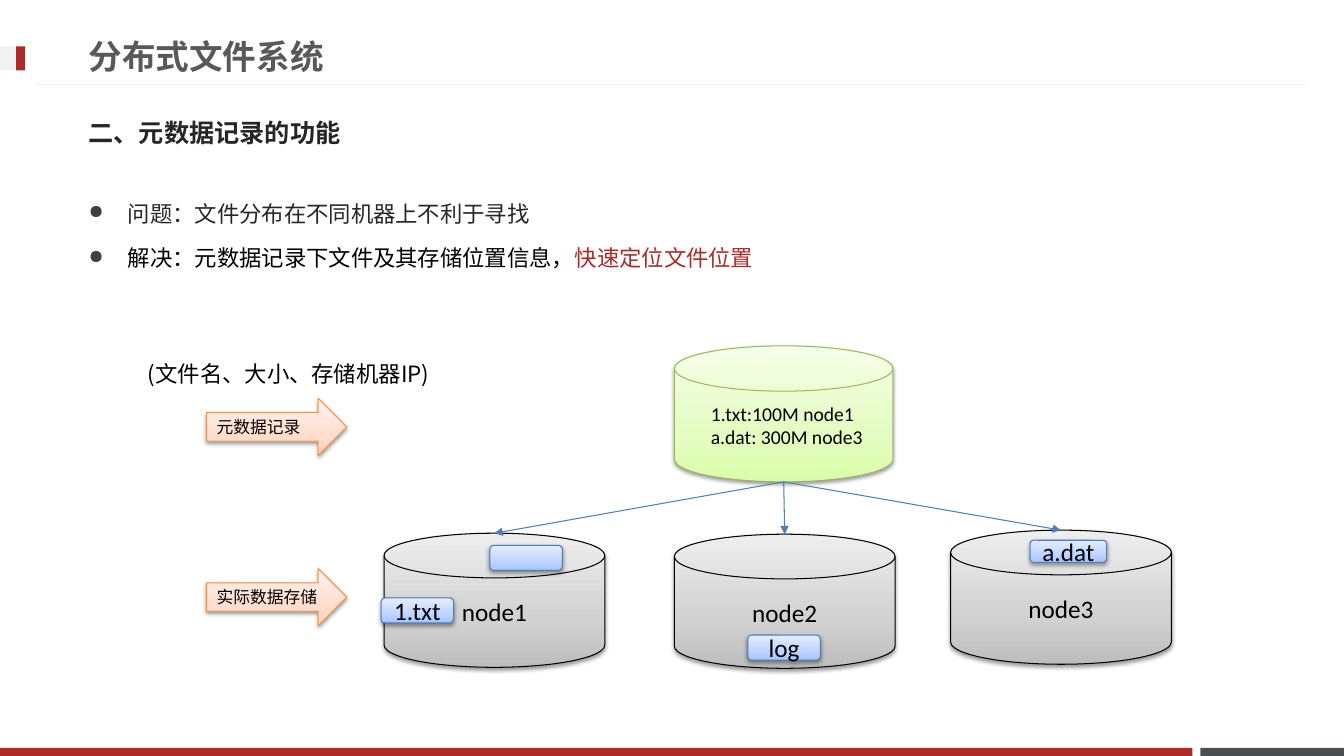
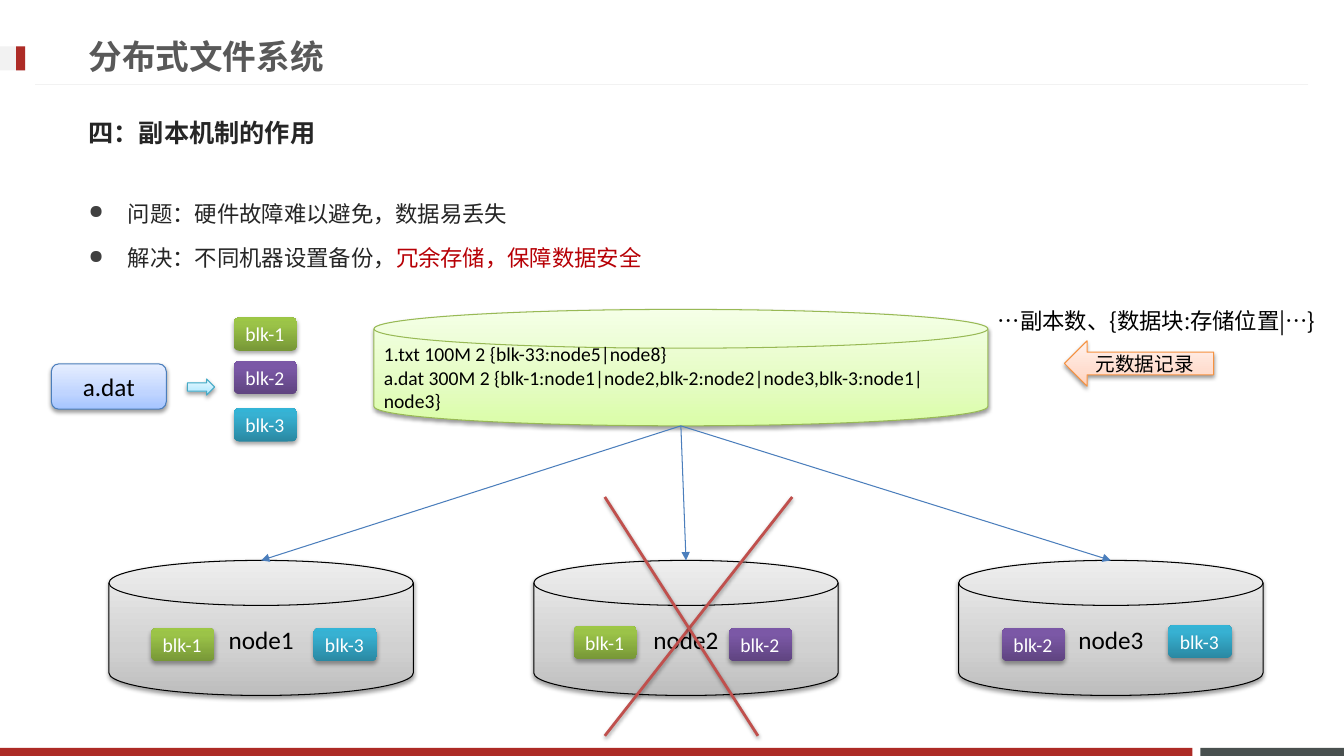
import copy
from dataclasses import dataclass, field
from typing import Optional

import lxml.etree
import pptx
import pptx.dml.color
import pptx.enum.dml
import pptx.enum.shapes
import pptx.enum.text
import pptx.oxml.ns
import pptx.shapes.autoshape
import pptx.shapes.connector
import pptx.slide
import pptx.text.text
import pptx.util

Pt = pptx.util.Pt
qn = pptx.oxml.ns.qn
Preset = pptx.enum.shapes.MSO_SHAPE
Align = pptx.enum.text.PP_ALIGN
Anchor = pptx.enum.text.MSO_ANCHOR


@dataclass(frozen=True)
class Finish:
    stops: tuple[tuple[float, str], ...]
    outline: Optional[str] = None
    shadow_alpha: int = 38
    shadow_distance: float = 1.6


def soft(dark: str, middle: str, light: str, outline: str) -> Finish:
    return Finish(((0, dark), (0.35, middle), (1, light)), outline)


def strong(dark: str, middle: str, light: str) -> Finish:
    return Finish(((0, dark), (0.8, middle), (1, light)), None, 35, 1.8)


@dataclass(frozen=True)
class Theme:
    latin: str = "Calibri"
    cjk: str = "Noto Sans CJK JP"
    red: str = "AD2B26"
    alert: str = "B70006"
    slate: str = "49504F"
    pale: str = "F2F2F2"
    heading: str = "595959"
    body: str = "262626"
    bullet: str = "404040"
    black: str = "000000"
    white: str = "FFFFFF"
    link: str = "4B7EBC"
    failure: str = "C0504D"
    title_size: float = 24
    label_size: float = 18
    body_size: float = 16
    detail_size: float = 14
    caption_size: float = 12
    grey: Finish = soft("BDBDBD", "D1D1D1", "EEEEEE", "000000")
    lime: Finish = soft("DAFDA7", "E4FCC2", "F5FFE7", "98B955")
    blue: Finish = soft("A4C4FF", "BFD4FF", "E6EEFF", "4B7EBC")
    orange: Finish = soft("FFD2BD", "FFDED0", "FFF2ED", "F69240")
    aqua: Finish = soft("A7E6FF", "C1EDFF", "E7F8FF", "46AAC5")
    blocks: dict[str, Finish] = field(default_factory=lambda: {
        "blk-1": strong("779737", "9BC348", "9DC746"),
        "blk-2": strong("5F4480", "7B58A6", "7C57A8"),
        "blk-3": strong("2A88A2", "37B1D2", "34B4D6"),
    })


THEME = Theme()


@dataclass(frozen=True)
class Box:
    left: float
    top: float
    width: float
    height: float

    @property
    def top_centre(self) -> tuple[float, float]:
        return self.left + self.width / 2, self.top

    @property
    def bottom_centre(self) -> tuple[float, float]:
        return self.left + self.width / 2, self.top + self.height

    def lengths(self) -> tuple[int, int, int, int]:
        return Pt(self.left), Pt(self.top), Pt(self.width), Pt(self.height)


@dataclass(frozen=True)
class Part:
    box: Box
    preset: Preset
    finish: Finish
    text: str = ""
    size: float = THEME.label_size
    color: str = THEME.black
    align: Align = Align.CENTER
    indent: float = 0


@dataclass(frozen=True)
class Piece:
    text: str
    color: str = THEME.body


@dataclass(frozen=True)
class Topic:
    subtitle: str
    points: tuple[tuple[Piece, ...], ...]


def rgb(code: str) -> pptx.dml.color.RGBColor:
    return pptx.dml.color.RGBColor.from_string(code)


def style_run(run: pptx.text.text._Run, size: float, color: str,
              bold: bool = False, font: str = THEME.latin) -> None:
    run.font.size = Pt(size)
    run.font.bold = bold
    run.font.color.rgb = rgb(color)
    run.font.name = font
    lxml.etree.SubElement(run.font._element, qn("a:ea"), typeface=font)


def set_indent(paragraph: pptx.text.text._Paragraph, left: float, first: float) -> None:
    properties = paragraph._p.get_or_add_pPr()
    properties.set("marL", str(Pt(left)))
    properties.set("indent", str(Pt(first)))


def add_bullet(paragraph: pptx.text.text._Paragraph) -> None:
    set_indent(paragraph, 28.1, -28.1)
    properties = paragraph._p.get_or_add_pPr()
    tint = lxml.etree.SubElement(properties, qn("a:buClr"))
    lxml.etree.SubElement(tint, qn("a:srgbClr"), val=THEME.bullet)
    lxml.etree.SubElement(properties, qn("a:buSzPct"), val="85000")
    lxml.etree.SubElement(properties, qn("a:buChar"), char="●")


def cast_shadow(effects: lxml.etree._Element, alpha: int, distance: float) -> None:
    shadow = lxml.etree.SubElement(
        effects, qn("a:outerShdw"), blurRad=str(Pt(3.1)), dist=str(Pt(distance)),
        dir="5400000", rotWithShape="0")
    tint = lxml.etree.SubElement(shadow, qn("a:srgbClr"), val=THEME.black)
    lxml.etree.SubElement(tint, qn("a:alpha"), val=str(alpha * 1000))


def apply_finish(shape: pptx.shapes.autoshape.Shape, finish: Finish) -> None:
    shape.fill.gradient()
    shape.fill.gradient_angle = 90
    stop_list = shape.element.spPr.find(".//" + qn("a:gsLst"))
    stop_list.insert(1, copy.deepcopy(stop_list[0]))
    for stop, (position, color) in zip(shape.fill.gradient_stops, finish.stops):
        stop.position = position
        stop.color.rgb = rgb(color)
    if finish.outline:
        shape.line.color.rgb = rgb(finish.outline)
        shape.line.width = Pt(0.75)
    else:
        shape.line.fill.background()
    shape.shadow.inherit = False
    effects = shape.element.spPr.find(qn("a:effectLst"))
    cast_shadow(effects, finish.shadow_alpha, finish.shadow_distance)


def draw_part(slide: pptx.slide.Slide, part: Part) -> None:
    shape = slide.shapes.add_shape(part.preset, *part.box.lengths())
    apply_finish(shape, part.finish)
    if not part.text:
        return
    frame = shape.text_frame
    frame.text = part.text
    frame.word_wrap = True
    frame.vertical_anchor = Anchor.MIDDLE
    for paragraph in frame.paragraphs:
        paragraph.alignment = part.align
        if part.indent:
            set_indent(paragraph, part.indent, 0)
        for run in paragraph.runs:
            style_run(run, part.size, part.color)


def draw_line(slide: pptx.slide.Slide, start: tuple[float, float], end: tuple[float, float],
              color: str, width: float = 0.75, arrow: bool = False,
              shadow: bool = False) -> None:
    line = slide.shapes.add_connector(
        pptx.enum.shapes.MSO_CONNECTOR.STRAIGHT, *map(Pt, start + end))
    line.line.color.rgb = rgb(color)
    line.line.width = Pt(width)
    properties = line.element.spPr
    if arrow:
        lxml.etree.SubElement(properties.find(qn("a:ln")), qn("a:tailEnd"), type="triangle")
    effects = lxml.etree.SubElement(properties, qn("a:effectLst"))
    if shadow:
        cast_shadow(effects, 38, 1.6)


def draw_text(slide: pptx.slide.Slide, box: Box, text: str, size: float, color: str,
              bold: bool = False, font: str = THEME.latin, before: float = 0) -> None:
    frame = slide.shapes.add_textbox(*box.lengths()).text_frame
    frame.text = text
    frame.word_wrap = True
    frame.vertical_anchor = Anchor.MIDDLE
    frame.paragraphs[0].space_before = Pt(before)
    style_run(frame.paragraphs[0].runs[0], size, color, bold, font)


def draw_note(slide: pptx.slide.Slide, left: float, top: float, width: float, text: str) -> None:
    frame = slide.shapes.add_textbox(*Box(left, top, width, 26.6).lengths()).text_frame
    frame.text = text
    frame.word_wrap = False
    frame.margin_right = Pt(0)
    style_run(frame.paragraphs[0].runs[0], THEME.body_size, THEME.black, font=THEME.cjk)


def draw_points(slide: pptx.slide.Slide, points: tuple[tuple[Piece, ...], ...]) -> None:
    frame = slide.shapes.add_textbox(*Box(56.2, 129.6, 846.7, 331.9).lengths()).text_frame
    frame.word_wrap = True
    frame.text = "\n".join("".join(piece.text for piece in point) for point in points)
    for paragraph, point in zip(frame.paragraphs, points):
        paragraph.line_spacing = 1.5
        paragraph.space_before = Pt(3.2)
        add_bullet(paragraph)
        paragraph.text = point[0].text
        for piece in point[1:]:
            paragraph.add_run().text = piece.text
        for run, piece in zip(paragraph.runs, point):
            style_run(run, THEME.body_size, piece.color)


def start_slide(deck: pptx.presentation.Presentation, topic: Topic) -> pptx.slide.Slide:
    slide = deck.slides.add_slide(deck.slide_layouts[6])
    for band, color in (
        (Box(857.5, 534.2, 102.5, 5.8), THEME.slate),
        (Box(0, 534.2, 851.8, 5.8), THEME.red),
        (Box(0, 33.1, 18, 17.3), THEME.pale),
        (Box(11.5, 33.1, 6.5, 17.3), THEME.red),
    ):
        shape = slide.shapes.add_shape(Preset.RECTANGLE, *band.lengths())
        shape.fill.solid()
        shape.fill.fore_color.rgb = rgb(color)
        shape.line.fill.background()
        shape.shadow.inherit = False
    draw_line(slide, (934.6, 60.5), (25.2, 60.5), THEME.pale)
    draw_points(slide, topic.points)
    draw_text(slide, Box(56.2, 19.4, 690.5, 41), "分布式文件系统",
              THEME.title_size, THEME.heading, bold=True)
    draw_text(slide, Box(56.2, 74.2, 846.7, 41), topic.subtitle,
              THEME.label_size, THEME.body, bold=True, font=THEME.cjk, before=3.6)
    return slide


def draw_nodes(slide: pptx.slide.Slide, nodes: list[Box]) -> None:
    for number, node in enumerate(nodes, 1):
        draw_part(slide, Part(node, Preset.FLOWCHART_MAGNETIC_DISK, THEME.grey, f"node{number}"))


def link_nodes(slide: pptx.slide.Slide, metadata: Box, nodes: list[Box]) -> None:
    for node in nodes:
        draw_line(slide, metadata.bottom_centre, node.top_centre, THEME.link, arrow=True)


def build_metadata_slide(deck: pptx.presentation.Presentation) -> None:
    slide = start_slide(deck, Topic("二、元数据记录的功能", (
        (Piece("问题：文件分布在不同机器上不利于寻找"),),
        (Piece("解决：元数据记录下文件及其存储位置信息，", THEME.black),
         Piece("快速定位文件位置", THEME.red)),
    )))
    metadata = Box(481.7, 247, 156.2, 97.2)
    nodes = [Box(left, top, 157.7, 95.8)
             for left, top in ((274.3, 380.9), (481.7, 381.6), (679, 378.7))]
    draw_nodes(slide, nodes)
    draw_part(slide, Part(metadata, Preset.FLOWCHART_MAGNETIC_DISK, THEME.lime,
                          "1.txt:100M node1\na.dat: 300M node3",
                          THEME.detail_size, align=Align.LEFT, indent=19))
    for file_name, box in (
        ("1.txt", Box(272.2, 427, 51.8, 18)),
        ("a.dat", Box(735.8, 385.9, 54.7, 15.8)),
        ("", Box(349.9, 389.5, 51.8, 18)),
        ("log", Box(534.2, 453.6, 51.8, 18)),
    ):
        draw_part(slide, Part(box, Preset.ROUNDED_RECTANGLE, THEME.blue, file_name))
    for layer, top in (("元数据记录", 284.4), ("实际数据存储", 406.1)):
        draw_part(slide, Part(Box(147.6, top, 100.1, 41), Preset.RIGHT_ARROW, THEME.orange,
                              layer, THEME.caption_size, align=Align.LEFT))
    draw_note(slide, 98.6, 253.4, 222, "(文件名、大小、存储机器IP)")
    link_nodes(slide, metadata, nodes)


def build_replica_slide(deck: pptx.presentation.Presentation) -> None:
    slide = start_slide(deck, Topic("四：副本机制的作用", (
        (Piece("问题：硬件故障难以避免，数据易丢失"),),
        (Piece("解决：不同机器设置备份，"), Piece("冗余存储，保障数据安全", THEME.alert)),
    )))
    metadata = Box(267.1, 221, 438.5, 83.2)
    nodes = [Box(77.8 + 303.5 * column, 400.3, 217.4, 96.5) for column in range(3)]
    draw_part(slide, Part(
        metadata, Preset.FLOWCHART_MAGNETIC_DISK, THEME.lime,
        "1.txt 100M 2 {blk-33:node5|node8}\n"
        "a.dat 300M 2 {blk-1:node1|node2,blk-2:node2|node3,blk-3:node1|node3}",
        THEME.detail_size, align=Align.LEFT))
    draw_note(slide, 705.6, 216, 254.4, "…副本数、{数据块:存储位置|…}")
    draw_nodes(slide, nodes)
    draw_part(slide, Part(Box(36.7, 259.9, 82.1, 32.4), Preset.ROUNDED_RECTANGLE,
                          THEME.blue, "a.dat"))
    draw_part(slide, Part(Box(133.9, 270.7, 19.4, 11.5), Preset.RIGHT_ARROW, THEME.aqua))
    for block, left, top in (
        ("blk-1", 167, 226.8), ("blk-2", 167, 257.8), ("blk-3", 167, 291.6),
        ("blk-1", 108, 448.6), ("blk-3", 223.9, 448.6),
        ("blk-1", 409.7, 447.1), ("blk-2", 520.6, 448.6),
        ("blk-2", 715.7, 448.6), ("blk-3", 834.5, 446.4),
    ):
        draw_part(slide, Part(Box(left, top, 45.4, 23.8), Preset.ROUNDED_RECTANGLE,
                              THEME.blocks[block], block, THEME.detail_size,
                              THEME.white, Align.LEFT))
    draw_part(slide, Part(Box(760.3, 243.4, 106.6, 32.4), Preset.LEFT_ARROW,
                          THEME.orange, "元数据记录", THEME.detail_size))
    for top_x, bottom_x in ((565.9, 432), (432, 541.4)):
        draw_line(slide, (top_x, 355), (bottom_x, 525.6), THEME.failure, 2, shadow=True)
    link_nodes(slide, metadata, nodes)


def main() -> None:
    deck = pptx.Presentation()
    deck.slide_width, deck.slide_height = Pt(960), Pt(540)
    build_metadata_slide(deck)
    build_replica_slide(deck)
    deck.save("out.pptx")


if __name__ == "__main__":
    main()
